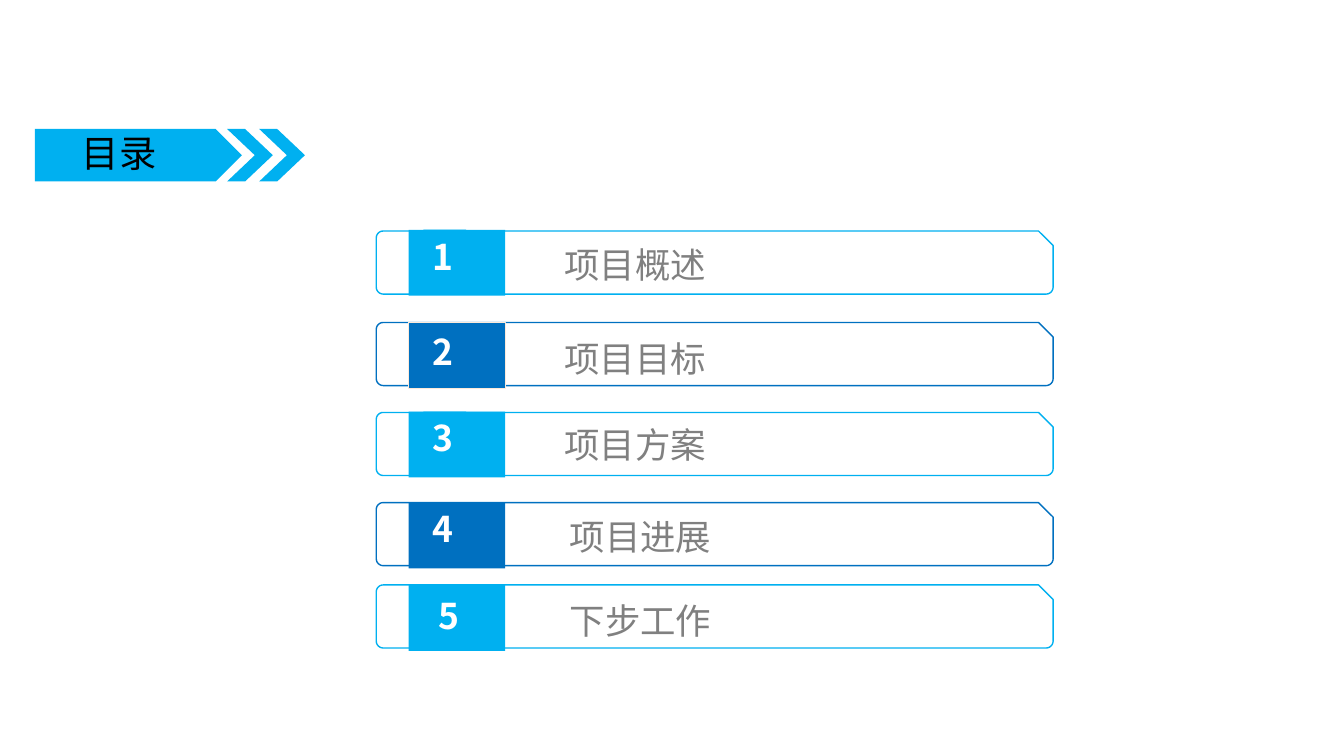
from collections import namedtuple
from dataclasses import dataclass
from math import cos, radians, sin

from lxml.etree import SubElement
from pptx import Presentation
from pptx.dml.color import RGBColor as Rgb
from pptx.enum.shapes import MSO_SHAPE as Preset
from pptx.enum.text import MSO_AUTO_SIZE as AutoSize
from pptx.oxml.ns import qn
from pptx.util import Pt


@dataclass(frozen=True)
class Theme:
    font: str = "Noto Sans CJK SC"
    sky: str = "00B0F0"
    blue: str = "0070C0"
    cream: str = "FDEADA"
    gray: str = "808080"
    black: str = "000000"
    white: str = "FFFFFF"
    title_size: int = 20
    item_size: int = 19


THEME = Theme()
Box = namedtuple("Box", "left top width height")
# Number and label offsets are measured from the row's left edge and tile top.
Item = namedtuple("Item", "name top frame_dy number_dx number_dy label_dx label_dy edge",
                  defaults=[None])

ITEMS = [
    Item("项目概述", 123.1, 0.7, 25.2, 0, 95.8, 4.3),
    Item("项目目标", 172.8, 0, 25.2, 1.4, 95.8, 5, THEME.cream),
    Item("项目方案", 220.5, 0.5, 25.2, 0, 95.8, 3.6),
    Item("项目进展", 269.3, 0, 25.2, 0, 98.6, 4.3),
    Item("下步工作", 313.4, 0, 28.1, 2.2, 98.6, 5),
]


def paint(shape, fill=None, line=None, line_width=0.75):
    shape.shadow.inherit = False
    if fill:
        shape.fill.solid()
        shape.fill.fore_color.rgb = Rgb.from_string(fill)
    else:
        shape.fill.background()
    if line:
        shape.line.color.rgb = Rgb.from_string(line)
        shape.line.width = Pt(line_width)
    else:
        shape.line.fill.background()


def add_block(page, preset, box, fill, line=None, adjust=None):
    shape = page.shapes.add_shape(preset, *map(Pt, box))
    if adjust is not None:
        shape.adjustments[0] = adjust
    paint(shape, fill, line)


def add_text(page, box, text, size, color, bold=False, fill=None, fit=False):
    """Add one line of text; fit shrinks the margins and fits the box to the text."""
    shape = page.shapes.add_textbox(*map(Pt, box))
    if fill:
        paint(shape, fill)
    frame = shape.text_frame
    frame.word_wrap = not fit
    if fit:
        frame.auto_size = AutoSize.SHAPE_TO_FIT_TEXT
        frame.margin_left = frame.margin_right = Pt(5)
        frame.margin_top = frame.margin_bottom = Pt(2.6)
    span = frame.paragraphs[0].add_run()
    span.text = text
    span.font.name = THEME.font
    span.font.size = Pt(size)
    span.font.bold = bold
    span.font.color.rgb = Rgb.from_string(color)
    SubElement(span.font._element, qn("a:ea"), typeface=THEME.font)


def add_frame(page, box, color, radius=3.7, snip=7.8):
    """Outline a box with a cut top right corner and three round ones."""
    left, top, width, height = box
    right, bottom = left + width, top + height
    points = [(left + radius, top), (right - snip, top), (right, top + snip)]
    corners = [(right - radius, bottom - radius, 0),
               (left + radius, bottom - radius, 90),
               (left + radius, top + radius, 180)]
    for x, y, start in corners:
        for step in range(0, 91, 15):
            angle = radians(start + step)
            points.append((x + radius * cos(angle), y + radius * sin(angle)))
    points = [(Pt(x), Pt(y)) for x, y in points]
    builder = page.shapes.build_freeform(*points[0])
    builder.add_line_segments(points[1:], close=True)
    paint(builder.convert_to_shape(), line=color, line_width=0)


def add_heading(page, box, text):
    left, top, width, height = box
    add_block(page, Preset.PENTAGON, Box(left, top, 110.9, height), THEME.sky)
    add_text(page, Box(left + 18, top - 2.9, 85, 33.8), text,
             THEME.title_size, THEME.black)
    chevron_width, step = 24.5, 17.2
    for index in range(2):
        x = left + width - chevron_width - index * step
        add_block(page, Preset.CHEVRON, Box(x, top, chevron_width, height),
                  THEME.sky, adjust=0.606)


def add_row(page, box, number, item):
    left, top, width, height = box
    color = THEME.sky if number % 2 else THEME.blue
    add_frame(page, Box(left, top + item.frame_dy, width, 33.8), color)
    add_block(page, Preset.RECTANGLE, Box(left + 17.3, top, 51.8, height),
              color, line=item.edge)
    add_text(page, Box(left + item.number_dx, top + item.number_dy, 23, 28.8),
             str(number), THEME.item_size, THEME.white, bold=True, fill=color, fit=True)
    add_text(page, Box(left + item.label_dx, top + item.label_dy, 87.8, 28.8),
             item.name, THEME.item_size, THEME.gray, fit=True)


def main():
    deck = Presentation()
    deck.slide_width, deck.slide_height = Pt(720), Pt(405)
    page = deck.slides.add_slide(deck.slide_layouts[6])
    for number, item in enumerate(ITEMS, 1):
        add_row(page, Box(201.6, item.top, 362.6, 35.3), number, item)
    add_heading(page, Box(18.7, 69.1, 144.7, 28.1), "目录")
    deck.save("out.pptx")


if __name__ == "__main__":
    main()
